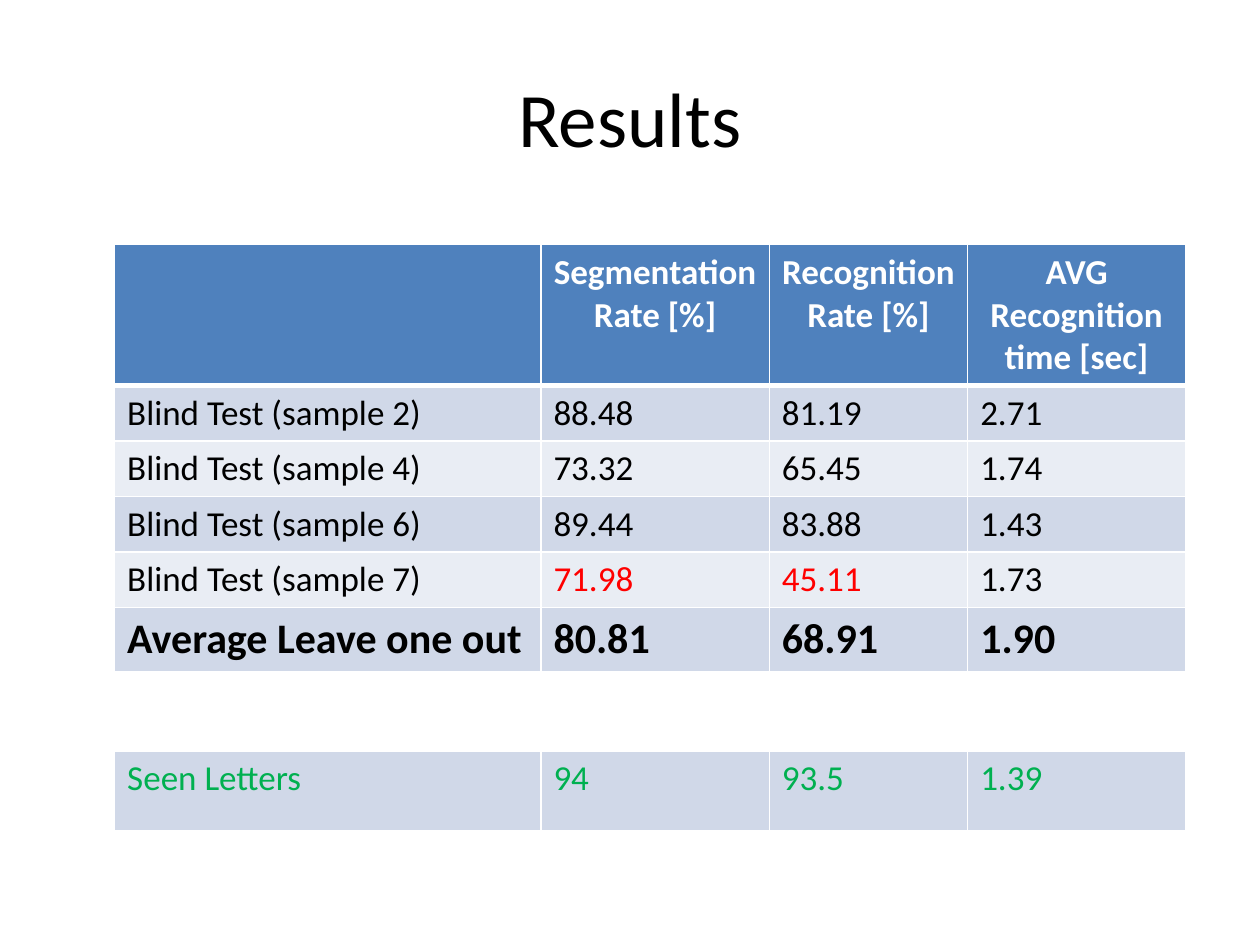
"""Build the recognition results slide with its table of rates."""
from lxml import etree
from pptx import Presentation
from pptx.dml.color import RGBColor
from pptx.enum.text import MSO_ANCHOR, PP_ALIGN
from pptx.oxml.ns import qn
from pptx.util import Pt

CENTER, LEFT = PP_ALIGN.CENTER, PP_ALIGN.LEFT
MIDDLE = MSO_ANCHOR.MIDDLE
TITLE_ONLY = 5

WHITE = RGBColor(0xFF, 0xFF, 0xFF)
BLACK = RGBColor(0x00, 0x00, 0x00)
RED = RGBColor(0xFF, 0x00, 0x00)
GREEN = RGBColor(0x00, 0xB0, 0x50)
BLUE = RGBColor(0x4F, 0x81, 0xBD)
DARK_BAND = RGBColor(0xD0, 0xD8, 0xE8)
LIGHT_BAND = RGBColor(0xE9, 0xED, 0xF4)

TITLE = "Results"
TITLE_BOX = {"left": 36, "top": 21.6, "width": 648, "height": 90}
TABLE_LEFT, TABLE_TOP = 65.5, 139.7
COLUMN_WIDTHS = [243.6, 130.5, 113.4, 124.5]

HEADER = {"size": Pt(20), "bold": True, "color": WHITE}
BODY = {"size": Pt(20), "bold": False, "color": BLACK}
AVERAGE = {"size": Pt(24), "bold": True, "color": BLACK}
SEEN = {"size": Pt(20), "bold": False, "color": GREEN}

ROWS = [
    (["", "Segmentation Rate [%]", "Recognition Rate [%]", "AVG Recognition time [sec]"], 74.2, BLUE, HEADER),
    (["Blind Test (sample 2)", "88.48", "81.19", "2.71"], 29.5, DARK_BAND, BODY),
    (["Blind Test (sample 4)", "73.32", "65.45", "1.74"], 29.5, LIGHT_BAND, BODY),
    (["Blind Test (sample 6)", "89.44", "83.88", "1.43"], 29.5, DARK_BAND, BODY),
    (["Blind Test (sample 7)", "71.98", "45.11", "1.73"], 29.5, LIGHT_BAND, BODY),
    (["Average Leave one out", "80.81", "68.91", "1.90"], 33.8, DARK_BAND, AVERAGE),
    (["", "", "", ""], 45.4, None, BODY),
    (["Seen Letters", "94", "93.5", "1.39"], 45.4, DARK_BAND, SEEN),
]
LOW_RATES = {"71.98", "45.11"}


def write(paragraph, text, alignment, color, **font_format):
    """Add one formatted run to a paragraph."""
    paragraph.alignment = alignment
    run = paragraph.add_run()
    run.text = text
    for name, value in {"name": "Calibri", **font_format}.items():
        setattr(run.font, name, value)
    run.font.color.rgb = color


def add_borders(cell, widths):
    """Draw white borders, given the width of each side in points."""
    properties = cell._tc.get_or_add_tcPr()
    for side, width in widths.items():
        line = etree.SubElement(properties, qn(f"a:ln{side}"), w=str(Pt(width)))
        fill = etree.SubElement(line, qn("a:solidFill"))
        etree.SubElement(fill, qn("a:srgbClr"), val=str(WHITE))


def add_results_table(slide):
    """Place the table and fill its rows."""
    heights = [height for _, height, _, _ in ROWS]
    table = slide.shapes.add_table(
        len(ROWS), len(COLUMN_WIDTHS), Pt(TABLE_LEFT), Pt(TABLE_TOP),
        Pt(sum(COLUMN_WIDTHS)), Pt(sum(heights))).table
    table.horz_banding = False
    for column, width in zip(table.columns, COLUMN_WIDTHS):
        column.width = Pt(width)
    for index, (row, (texts, height, band, font_format)) in enumerate(zip(table.rows, ROWS)):
        row.height = Pt(height)
        is_header = font_format is HEADER
        borders = {"L": 1, "R": 1, "T": 3 if index == 1 else 1, "B": 3 if is_header else 1}
        for cell, text in zip(row.cells, texts):
            add_borders(cell, borders)
            if band is None:
                cell.fill.background()
            else:
                cell.fill.solid()
                cell.fill.fore_color.rgb = band
            if text:
                cell_format = {**font_format, "color": RED} if text in LOW_RATES else font_format
                write(cell.text_frame.paragraphs[0], text, CENTER if is_header else LEFT, **cell_format)


def main():
    """Create and save the presentation."""
    presentation = Presentation()
    presentation.slide_width, presentation.slide_height = Pt(720), Pt(540)
    slide = presentation.slides.add_slide(presentation.slide_layouts[TITLE_ONLY])
    title = slide.shapes.title
    for name, value in TITLE_BOX.items():
        setattr(title, name, Pt(value))
    title.text_frame.vertical_anchor = MIDDLE
    write(title.text_frame.paragraphs[0], TITLE, CENTER, BLACK, size=Pt(44))
    add_results_table(slide)
    presentation.save("out.pptx")


if __name__ == "__main__":
    main()
